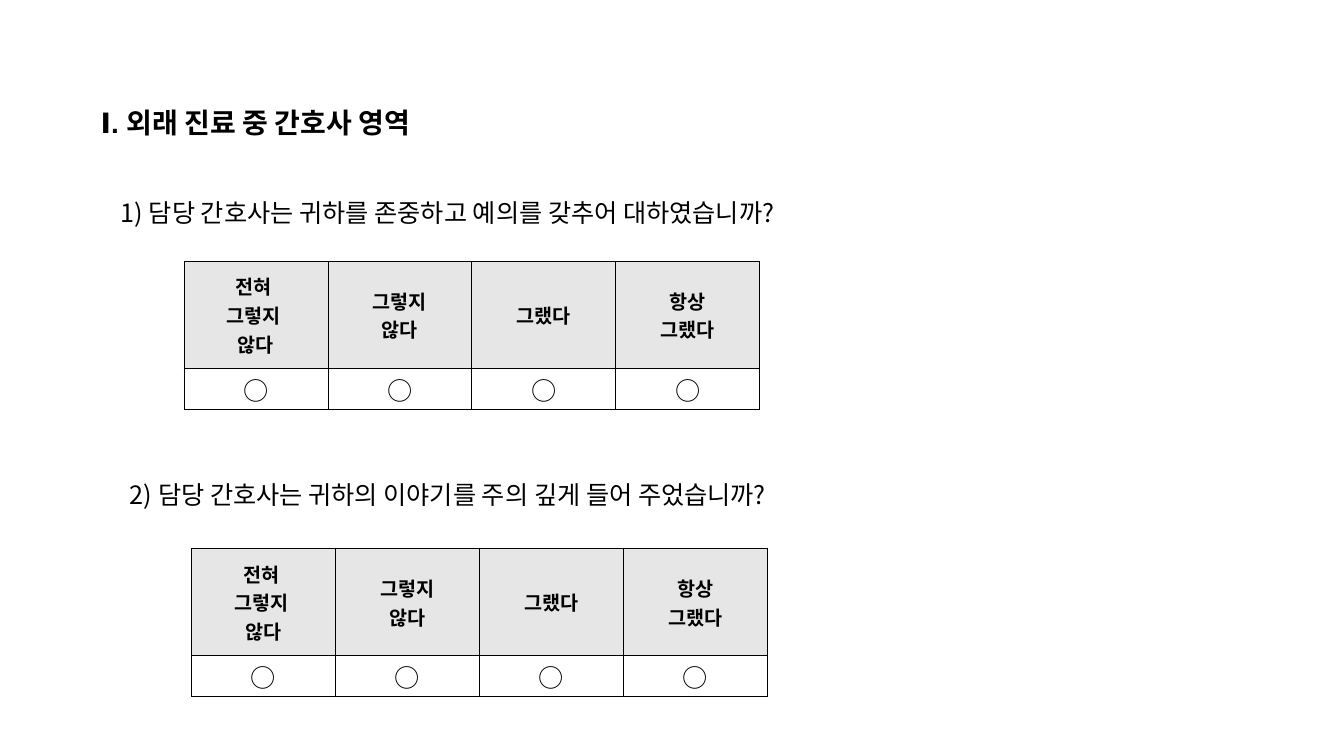
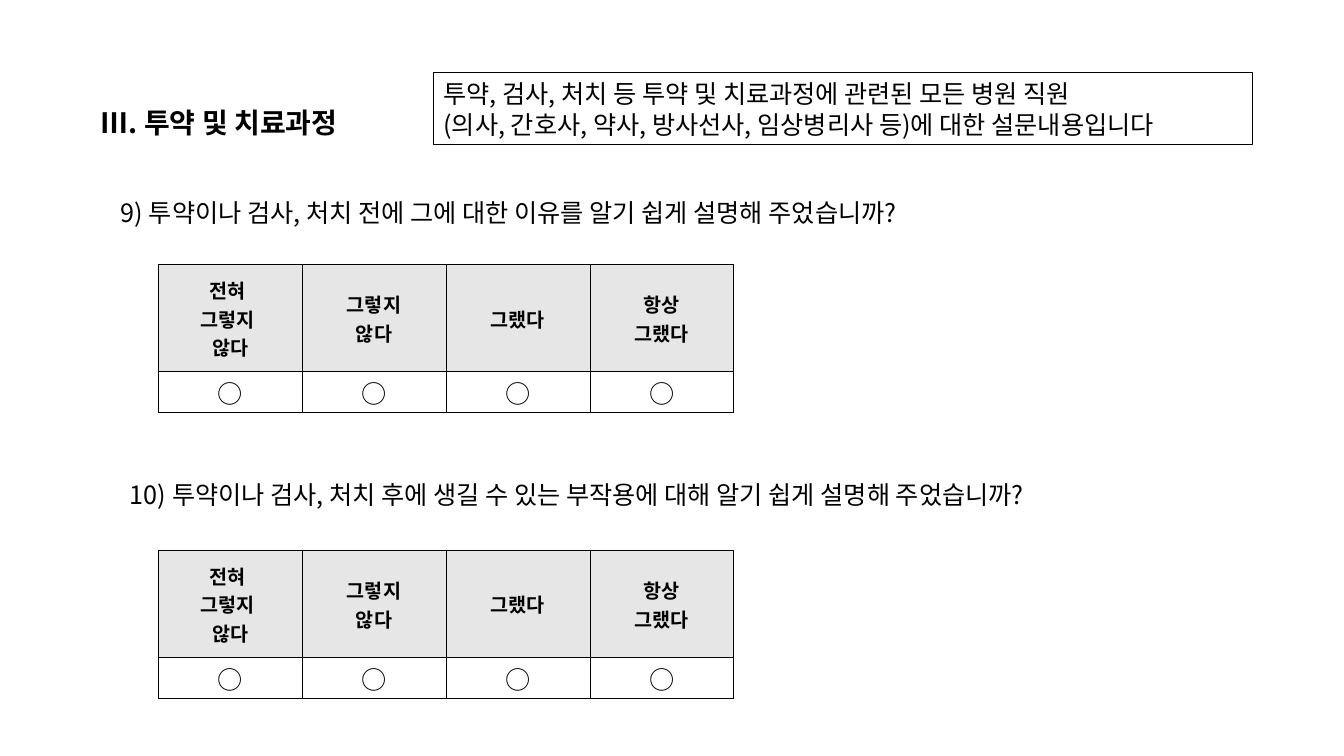
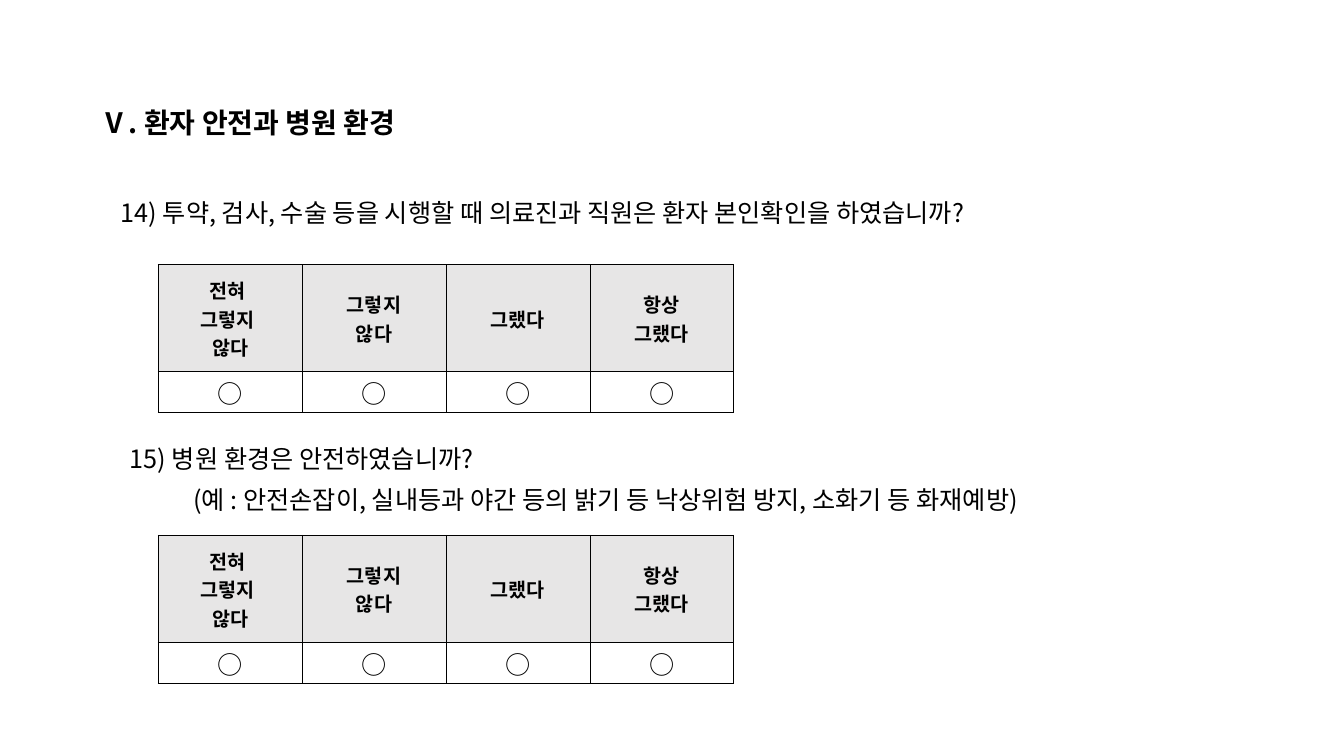
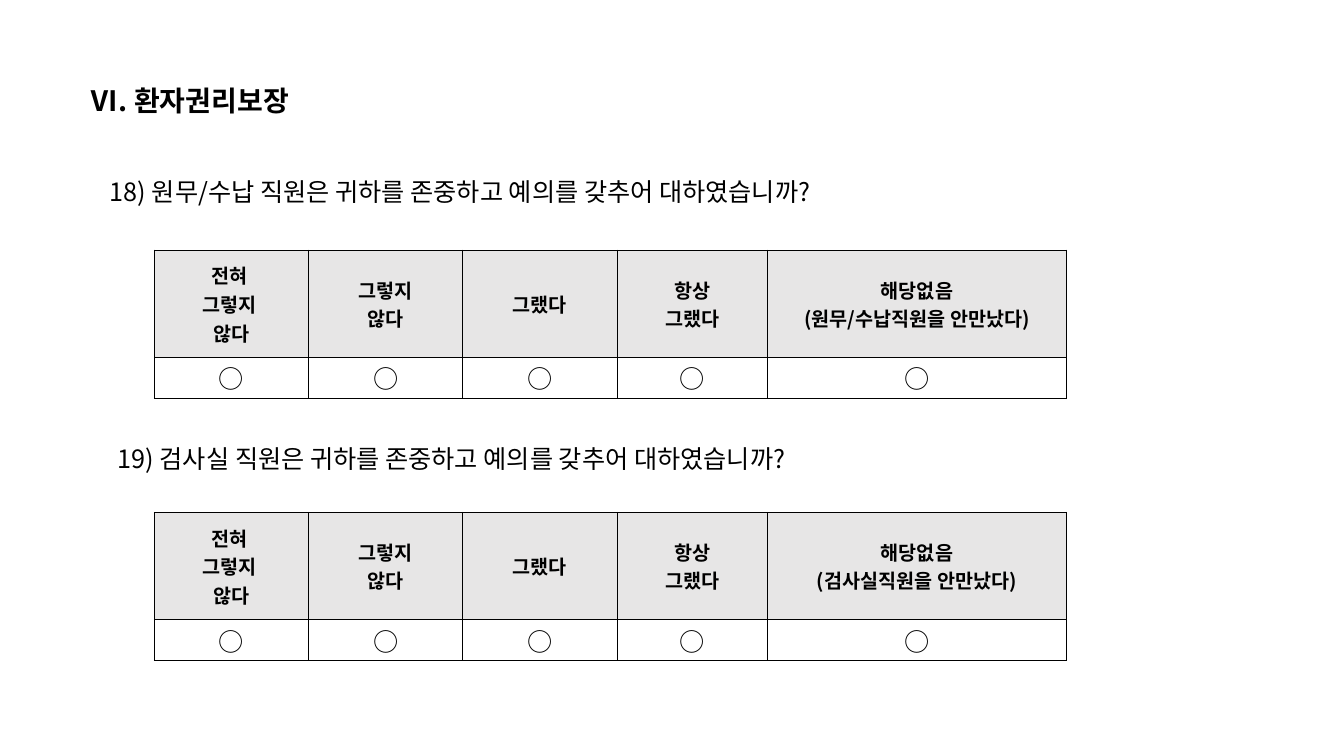
import copy

import lxml.etree
import pptx
import pptx.dml.color
import pptx.enum.text
import pptx.enum.shapes
import pptx.oxml.ns
import pptx.util

Pt = pptx.util.Pt
qn = pptx.oxml.ns.qn
color = pptx.dml.color.RGBColor.from_string
align = pptx.enum.text.PP_ALIGN
anchor = pptx.enum.text.MSO_ANCHOR

# Theme: colours, fonts and type styles
BODY_FONT = "Noto Sans CJK KR"
THEME = {
    "ink": "000000",
    "header_fill": "E7E6E6",
    "answer_fill": "FFFFFF",
    "grid_line": 0.5,
    "note_line": 0.75,
    "title": {"font": {"size": Pt(20), "bold": True}, "para": {"line_spacing": Pt(24.4)}},
    "body": {"font": {"size": Pt(18), "bold": False}, "para": {"line_spacing": Pt(22)}},
    "header": {"font": {"size": Pt(14), "bold": True}, "para": {"alignment": align.CENTER}},
    "answer": {"font": {"size": Pt(18), "bold": False}, "para": {"alignment": align.CENTER}},
}

# Answer scale, column widths and row heights
SCALE = ["전혀 \v그렇지 \v않다", "그렇지\v않다", "그랬다", "항상\v그랬다"]
FOUR_COLUMNS = [102.8] * 4
FIVE_COLUMNS = [110.2, 110.2, 110.2, 107.6, 213.4]
ROWS = [76.3, 29.5]
TITLE_HEIGHT, LINE_HEIGHT = 31.7, 28.8

# Pages: title and lines are (text, left, top, width); tables are (left, top, extra answer)
PAGES = [
    {
        "title": ("Ⅰ. 외래 진료 중 간호사 영역", 64.8, 71.3, 277.2),
        "title_font": "Arial",
        "lines": [
            ("1) 담당 간호사는 귀하를 존중하고 예의를 갖추어 대하였습니까?", 79.2, 136.8, 537.8),
            ("2) 담당 간호사는 귀하의 이야기를 주의 깊게 들어 주었습니까?", 85.7, 338.4, 526.3),
        ],
        "tables": [(131.4, 186.5, None), (136.8, 391.7, None)],
    },
    {
        "title": ("Ⅲ. 투약 및 치료과정", 64.8, 71.3, 203),
        "lines": [
            ("9) 투약이나 검사, 처치 전에 그에 대한 이유를 알기 쉽게 설명해 주었습니까?",
             79.2, 136.8, 640),
            ("10) 투약이나 검사, 처치 후에 생길 수 있는 부작용에 대해 알기 쉽게 설명해 주었습니까?",
             85.7, 338.4, 735.8),
        ],
        "note": ["투약, 검사, 처치 등 투약 및 치료과정에 관련된 모든 병원 직원",
                 "(의사, 간호사, 약사, 방사선사, 임상병리사 등)에 대한 설문내용입니다"],
        "tables": [(113, 189, None), (113, 393.1, None)],
    },
    {
        "title": ("Ⅴ. 환자 안전과 병원 환경", 64.8, 71.3, 250.6),
        "lines": [
            ("14) 투약, 검사, 수술 등을 시행할 때 의료진과 직원은 환자 본인확인을 하였습니까?",
             79.2, 136.8, 690.5),
            ("15) 병원 환경은 안전하였습니까?", 85.7, 312.5, 285.8),
            ("(예 : 안전손잡이, 실내등과 야간 등의 밝기 등 낙상위험 방지, 소화기 등 화재예방)",
             131, 342, 673.2),
        ],
        "tables": [(113, 189, None), (113, 382.3, None)],
    },
    {
        "title": ("Ⅵ. 환자권리보장", 57.6, 55.4, 168.5),
        "lines": [
            ("18) 원무/수납 직원은 귀하를 존중하고 예의를 갖추어 대하였습니까?", 71.3, 121.7, 573.1),
            ("19) 검사실 직원은 귀하를 존중하고 예의를 갖추어 대하였습니까?", 77, 312.5, 746.6),
        ],
        "wrapped": 1,
        "tables": [(110.2, 178.6, "해당없음\n(원무/수납직원을 안만났다)"),
                   (110.2, 365.8, "해당없음\n(검사실직원을 안만났다)")],
    },
]


def write_text(frame, text, style, latin=BODY_FONT):
    """Fill a text frame; line feeds start paragraphs, vertical tabs break lines."""
    frame.text = text
    for para in frame.paragraphs:
        for name, value in style["para"].items():
            setattr(para, name, value)
        for span in para.runs:
            for name, value in {**style["font"], "name": latin}.items():
                setattr(span.font, name, value)
            span.font.color.rgb = color(THEME["ink"])
            east_asian = lxml.etree.Element(qn("a:ea"), typeface=BODY_FONT)
            span.font._element.find(qn("a:latin")).addnext(east_asian)
        # Line breaks take the type size of the text around them
        for line_break in para._p.findall(qn("a:br")):
            line_break.insert(0, copy.deepcopy(para.runs[0].font._element))


def style_cell(cell, text, style, fill):
    """Write one table cell with its fill and thin border."""
    for name, value in {"margin_left": Pt(0.7), "margin_right": Pt(0.7), "margin_top": Pt(0.7),
                        "margin_bottom": Pt(0), "vertical_anchor": anchor.MIDDLE}.items():
        setattr(cell, name, value)
    write_text(cell.text_frame, text, style)
    cell.fill.solid()
    cell.fill.fore_color.rgb = color(fill)
    properties = cell._tc.get_or_add_tcPr()
    for index, side in enumerate(["a:lnL", "a:lnR", "a:lnT", "a:lnB"]):
        border = lxml.etree.Element(qn(side), w=str(Pt(THEME["grid_line"])))
        solid = lxml.etree.SubElement(border, qn("a:solidFill"))
        lxml.etree.SubElement(solid, qn("a:srgbClr"), val=THEME["ink"])
        properties.insert(index, border)


deck = pptx.Presentation()
deck.slide_width, deck.slide_height = Pt(960), Pt(540)

for content in PAGES:
    page = deck.slides.add_slide(deck.slide_layouts[6])

    # Title and questions
    entries = [(content["title"], TITLE_HEIGHT, "title", content.get("title_font", BODY_FONT), False)]
    for index, line in enumerate(content["lines"]):
        entries.append((line, LINE_HEIGHT, "body", BODY_FONT, index == content.get("wrapped")))
    for (text, left, top, width), height, style, latin, wrapped in entries:
        box = page.shapes.add_textbox(Pt(left), Pt(top), Pt(width), Pt(height))
        box.text_frame.word_wrap = wrapped
        box.text_frame.auto_size = pptx.enum.text.MSO_AUTO_SIZE.SHAPE_TO_FIT_TEXT
        write_text(box.text_frame, text, THEME[style], latin)

    # Framed note beside the title
    if "note" in content:
        box = page.shapes.add_shape(pptx.enum.shapes.MSO_SHAPE.RECTANGLE,
                                    Pt(309.6), Pt(51.8), Pt(585.4), Pt(51.1))
        box.shadow.inherit = False
        box.fill.background()
        box.line.color.rgb = color(THEME["ink"])
        box.line.width = Pt(THEME["note_line"])
        box.text_frame.word_wrap = True
        box.text_frame.vertical_anchor = anchor.TOP
        write_text(box.text_frame, "\n".join(content["note"]), THEME["body"])
        for para in box.text_frame.paragraphs:
            para.alignment = align.LEFT

    # Answer tables
    for left, top, extra in content["tables"]:
        headings = SCALE + ([extra] if extra else [])
        widths = FIVE_COLUMNS if extra else FOUR_COLUMNS
        table = page.shapes.add_table(2, len(widths), Pt(left), Pt(top),
                                      Pt(sum(widths)), Pt(sum(ROWS))).table
        for row, height in zip(table.rows, ROWS):
            row.height = Pt(height)
        for index, (heading, width) in enumerate(zip(headings, widths)):
            table.columns[index].width = Pt(width)
            style_cell(table.cell(0, index), heading, THEME["header"], THEME["header_fill"])
            style_cell(table.cell(1, index), "○", THEME["answer"], THEME["answer_fill"])

deck.save("out.pptx")
